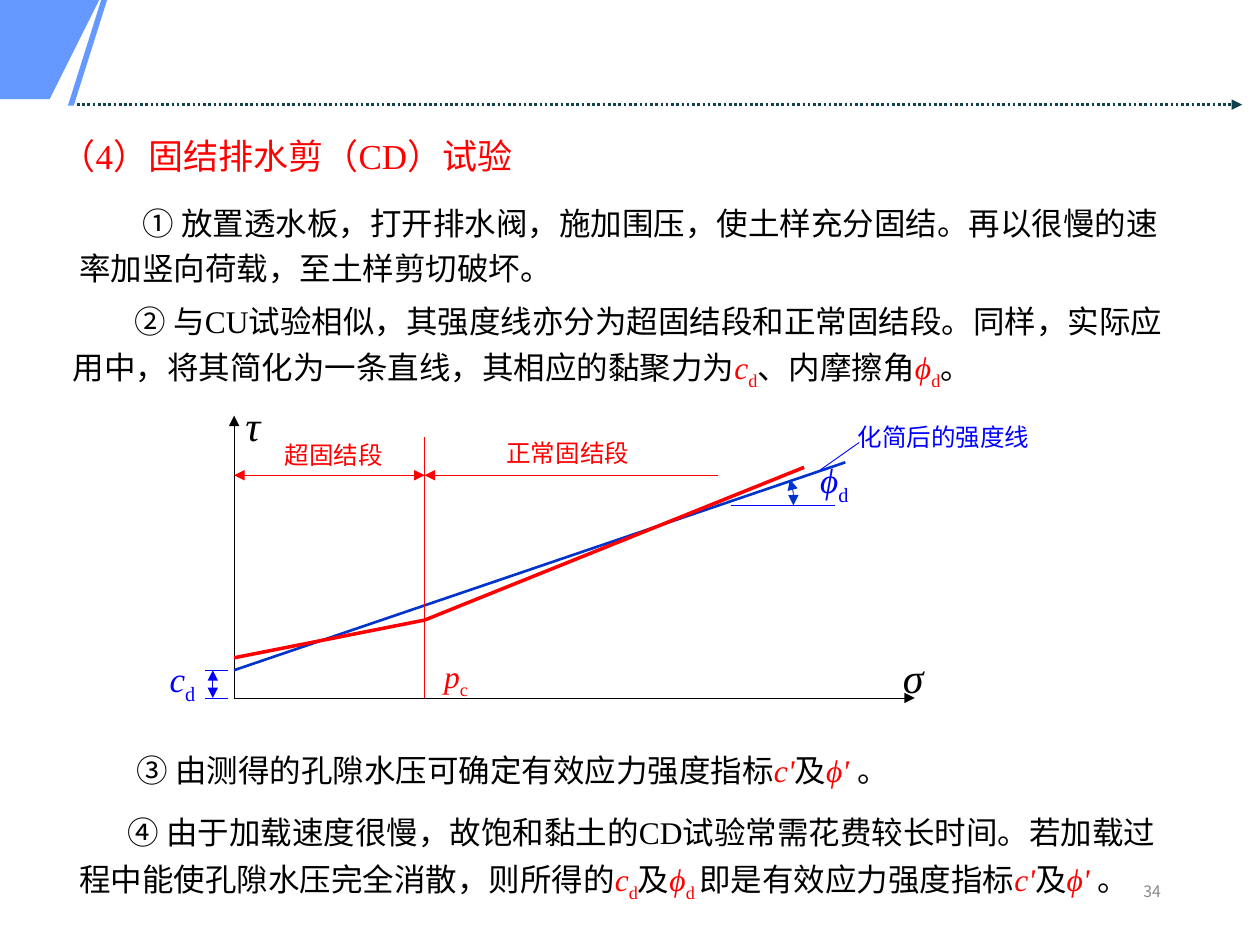
from lxml import etree
from pptx import Presentation
from pptx.dml.color import RGBColor
from pptx.enum.dml import MSO_LINE
from pptx.enum.shapes import MSO_CONNECTOR, MSO_SHAPE
from pptx.enum.text import MSO_ANCHOR, PP_ALIGN
from pptx.oxml.ns import qn
from pptx.util import Cm, Pt

STRAIGHT = MSO_CONNECTOR.STRAIGHT
TOP, MIDDLE = MSO_ANCHOR.TOP, MSO_ANCHOR.MIDDLE
LEFT, CENTER, RIGHT = PP_ALIGN.LEFT, PP_ALIGN.CENTER, PP_ALIGN.RIGHT

SERIF, SANS = "Times New Roman", "Noto Sans CJK SC"
COLORS = {
    "band": "6699FF", "rule": "12414E", "gray": "898989", "black": "000000",
    "red": "FF0000", "blue": "0000FF", "line blue": "0033CC",
}

# Run kinds: a plain string, or (text, kind)
VARIABLE, SUBSCRIPT, NUMBER = "variable", "subscript", "number"

TITLE = ["（4）固结排水剪（CD）试验"]

# box (left, top, width, height), first-line indent, line spacing, runs
BODY = [
    ((1.22, 5.89, 22.63, 2.03), 1.25, 1.2, [
        ("② ", NUMBER),
        "与CU试验相似，其强度线亦分为超固结段和正常固结段。同样，实际应用中，将其简化为一条直线，其相应的黏聚力为",
        ("c", VARIABLE), ("d", SUBSCRIPT), "、内摩擦角",
        ("ϕ", VARIABLE), ("d", SUBSCRIPT), "。"]),
    ((1.35, 3.86, 22.48, 2.03), 1.28, 1.2, [
        ("① ", NUMBER),
        "放置透水板，打开排水阀，施加围压，使土样充分固结。再以很慢的速率加竖向荷载，至土样剪切破坏。"]),
    ((1.35, 14.71, 19.2, 1.63), 1.16, 1.0, [
        ("③ ", NUMBER), "由测得的孔隙水压可确定有效应力强度指标",
        ("c'", VARIABLE), "及", ("ϕ' ", VARIABLE), "。"]),
    ((1.35, 16.33, 22.63, 1.78), 0.98, 1.2, [
        ("④ ", NUMBER),
        "由于加载速度很慢，故饱和黏土的CD试验常需花费较长时间。若加载过程中能使孔隙水压完全消散，则所得的",
        ("c", VARIABLE), ("d", SUBSCRIPT), "及", ("ϕ", VARIABLE), ("d ", SUBSCRIPT),
        "即是有效应力强度指标", ("c'", VARIABLE), "及", ("ϕ' ", VARIABLE), "。"]),
]

# Key positions of the strength diagram
AXIS_X, AXIS_Y = 4.72, 14.07
PRESSURE_X, SPAN_Y = 8.56, 9.58
COHESION_X, COHESION_Y = 4.29, 13.51
TICK = (4.6, 4.14)
BEND_Y = 12.5

# start, end, color, width, arrowheads
DIAGRAM_LINES = [
    ((AXIS_X, AXIS_Y), (AXIS_X, 8.38), "black", 0.5, ["tail"]),
    ((AXIS_X, AXIS_Y), (18.44, AXIS_Y), "black", 0.5, ["tail"]),
    ((14.73, 10.19), (16.84, 10.19), "blue", 0.5, []),
    ((AXIS_X, COHESION_Y), (17.04, 9.32), "line blue", 1.5, []),
    ((COHESION_X, COHESION_Y), (COHESION_X, AXIS_Y), "blue", 0.5, ["head", "tail"]),
    ((TICK[0], COHESION_Y), (TICK[1], COHESION_Y), "blue", 0.5, []),
    ((TICK[0], AXIS_Y), (TICK[1], AXIS_Y), "blue", 0.5, []),
    ((AXIS_X, 13.26), (PRESSURE_X, BEND_Y), "red", 2, []),
    ((PRESSURE_X, BEND_Y), (16.21, 9.42), "red", 2, []),
    ((PRESSURE_X, AXIS_Y), (PRESSURE_X, 8.81), "red", 0.5, []),
    ((AXIS_X, SPAN_Y), (PRESSURE_X, SPAN_Y), "red", 0.5, ["head", "tail"]),
    ((14.48, SPAN_Y), (PRESSURE_X, SPAN_Y), "red", 0.5, ["tail"]),
    ((17.32, 8.92), (16.54, 9.47), "blue", 0.5, []),
]

# box, runs, size, color
SYMBOLS = [
    ((4.6, 8.05, 1.0, 0.99), [("τ", VARIABLE)], 24, "black"),
    ((17.65, 13, 1.52, 1.22), [("σ", VARIABLE)], 24, "black"),
    ((3.02, 13.13, 1.32, 1.12), [("c", VARIABLE), ("d", SUBSCRIPT)], 20, "blue"),
    ((15.98, 9.12, 1.68, 1.12), [("ϕ", VARIABLE), ("d", SUBSCRIPT)], 20, "blue"),
    ((8.41, 13.13, 1.57, 1.02), [("p", VARIABLE), ("c", SUBSCRIPT)], 18, "red"),
]
# box, text, color, font
CAPTIONS = [
    ((9.96, 8.71, 3.56, 0.84), "正常固结段", "red", SERIF),
    ((5.49, 8.86, 2.62, 0.61), "超固结段", "red", SERIF),
    ((17.04, 8.38, 4.01, 0.84), "化简后的强度线", "blue", SANS),
]


def rgb(name):
    return RGBColor.from_string(COLORS[name])


def add_arrowheads(line_properties, ends):
    for end in ends:
        etree.SubElement(line_properties, qn(f"a:{end}End"), type="triangle")


def add_line(slide, start, end, color, width, ends, dash=None):
    line = slide.shapes.add_connector(STRAIGHT, *map(Cm, start + end))
    line.line.color.rgb = rgb(color)
    line.line.width = Pt(width)
    if dash:
        line.line.dash_style = dash
    add_arrowheads(line.line._get_or_add_ln(), ends)
    etree.SubElement(line._element.spPr, qn("a:effectLst"))


def add_text(slide, box, runs, size, color, font=SERIF, anchor=MIDDLE, align=LEFT,
             indent=0, spacing=None, accent=None, inset=None):
    """Add one paragraph; variables and subscripts take the accent color, if any."""
    frame = slide.shapes.add_textbox(*map(Cm, box)).text_frame
    frame.word_wrap = True
    frame.vertical_anchor = anchor
    if inset is not None:
        frame.margin_left = frame.margin_right = Cm(inset)
        frame.margin_top = frame.margin_bottom = Cm(inset)
    paragraph = frame.paragraphs[0]
    paragraph.alignment = align
    if spacing:
        paragraph.line_spacing = spacing
    if indent:
        paragraph._p.get_or_add_pPr().set("indent", str(Cm(indent)))
    paragraph.font.size = Pt(size)
    paragraph.font.name = font
    paragraph.font.color.rgb = rgb(color)
    for item in runs:
        text, kind = (item, None) if isinstance(item, str) else item
        run = paragraph.add_run()
        run.text = text
        if kind == NUMBER:
            run.font.name = SANS
        if kind == VARIABLE:
            run.font.italic = True
        if kind == SUBSCRIPT:
            run.font._element.set("baseline", "-25000")
        if accent and kind in (VARIABLE, SUBSCRIPT):
            run.font.color.rgb = rgb(accent)


def fill_plain(shape, color):
    shape.shadow.inherit = False
    shape.fill.solid()
    shape.fill.fore_color.rgb = rgb(color)
    shape.line.fill.background()


def add_header(slide):
    height = 2.13
    builder = slide.shapes.build_freeform(0, 0, scale=Cm(1))
    builder.add_line_segments([(1.93, 0), (1.3, height), (0, height)], close=True)
    fill_plain(builder.convert_to_shape(), "band")
    stripe = slide.shapes.add_shape(
        MSO_SHAPE.PARALLELOGRAM, Cm(1.37), 0, Cm(0.79), Cm(height))
    stripe.adjustments[0] = 0.85
    fill_plain(stripe, "band")
    add_line(slide, (1.55, 2.11), (25.04, 2.11), "rule", 1.5, ["tail"],
             MSO_LINE.ROUND_DOT)


def add_angle_arc(slide):
    arc = slide.shapes.add_shape(
        MSO_SHAPE.ARC, Cm(13.54), Cm(8.86), Cm(2.46), Cm(2.46))
    arc.shadow.inherit = False
    arc.adjustments[0], arc.adjustments[1] = 204, 2.78
    arc.fill.background()
    arc.line.color.rgb = rgb("line blue")
    arc.line.width = Pt(0.5)
    add_arrowheads(arc.line._get_or_add_ln(), ["head", "tail"])


def main():
    presentation = Presentation()
    presentation.slide_width, presentation.slide_height = Cm(25.4), Cm(19.05)
    slide = presentation.slides.add_slide(presentation.slide_layouts[6])

    add_header(slide)
    add_text(slide, (17.93, 17.65, 5.72, 1.02), ["34"], 9, "gray", SANS, TOP, RIGHT)
    add_text(slide, (0.97, 2.57, 9.83, 1.12), TITLE, 20, "red")

    for line in DIAGRAM_LINES:
        add_line(slide, *line)
    add_angle_arc(slide)
    for box, runs, size, color in SYMBOLS:
        inset = 0 if runs[0][0] == "τ" else None
        add_text(slide, box, runs, size, color, anchor=TOP, align=CENTER, inset=inset)
    for box, text, color, font in CAPTIONS:
        add_text(slide, box, [text], 14, color, font)

    for box, indent, spacing, runs in BODY:
        add_text(slide, box, runs, 18, "black", indent=indent, spacing=spacing,
                 accent="red")
    presentation.save("out.pptx")


if __name__ == "__main__":
    main()
